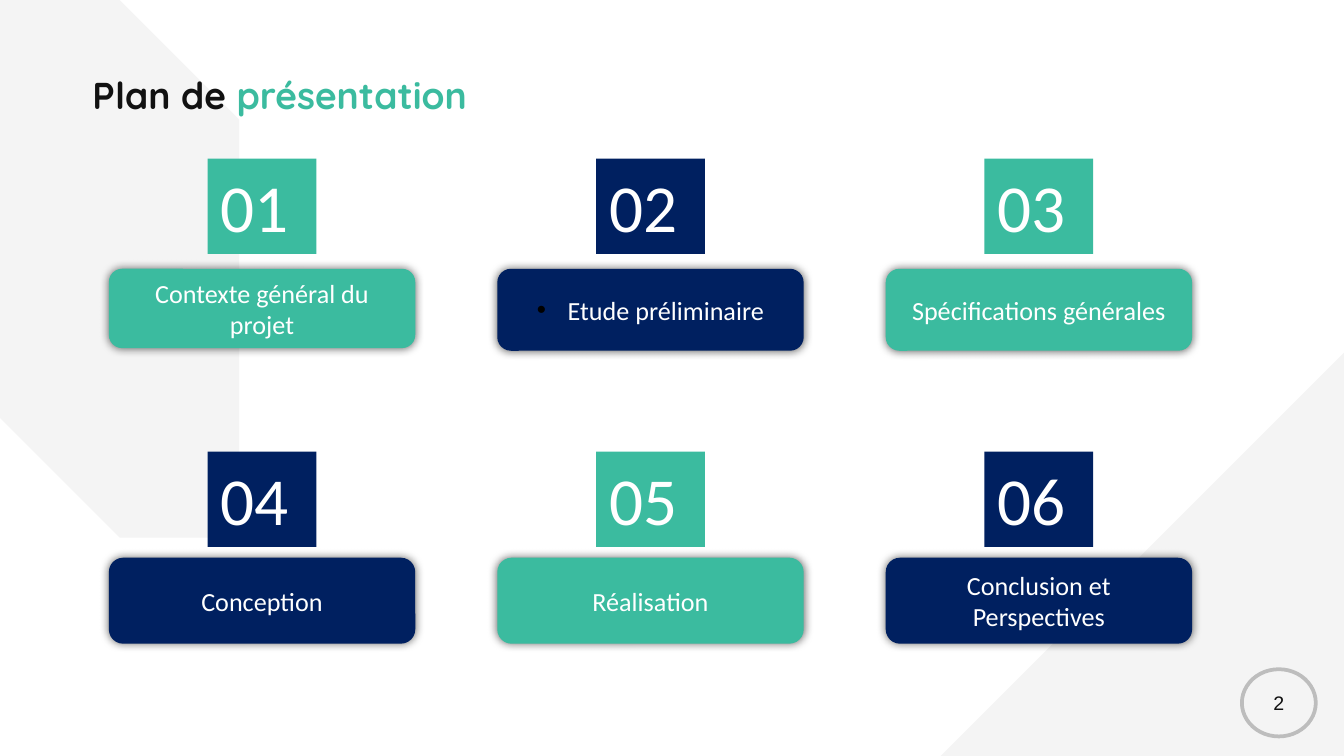
from dataclasses import dataclass

from lxml.etree import SubElement
from pptx import Presentation
from pptx.dml.color import RGBColor
from pptx.enum.shapes import MSO_SHAPE as Preset
from pptx.enum.text import MSO_ANCHOR as Anchor, PP_ALIGN as Align
from pptx.oxml.ns import qn
from pptx.shapes.autoshape import Shape
from pptx.slide import Slide
from pptx.util import Inches, Pt


@dataclass(frozen=True)
class Theme:
    teal: str = "3BBB9F"
    navy: str = "002060"
    ink: str = "111111"
    white: str = "FFFFFF"
    black: str = "000000"
    backdrop: str = "F4F4F4"
    ring: str = "BDBDBD"
    title_font: str = "Quicksand"
    body_font: str = "Calibri"
    page_font: str = "Arial"
    title_size: float = 20
    number_size: float = 36
    label_size: float = 14
    page_size: float = 10.5


@dataclass(frozen=True)
class Box:
    left: float
    top: float
    width: float
    height: float

    def lengths(self) -> list[Inches]:
        return [Inches(v) for v in (self.left, self.top, self.width, self.height)]


@dataclass(frozen=True)
class Row:
    badge_top: float
    label_top: float


@dataclass(frozen=True)
class Topic:
    label: str
    label_height: float
    bulleted: bool = False


THEME = Theme()
SLIDE_WIDTH = 10
SLIDE_HEIGHT = SLIDE_WIDTH * 9 / 16
COLUMNS = 3
COLUMN_LEFT, COLUMN_STEP = 0.81, 2.89
LABEL_WIDTH = 2.28
BADGE_WIDTH, BADGE_HEIGHT = 0.81, 0.71
ROWS = [Row(1.18, 2), Row(3.36, 4.15)]
TOPICS = [
    Topic("Contexte général du projet", 0.59),
    Topic("Etude préliminaire", 0.61, bulleted=True),
    Topic("Spécifications générales", 0.61),
    Topic("Conception", 0.64),
    Topic("Réalisation", 0.64),
    Topic("Conclusion et Perspectives", 0.64),
]


def rgb(color: str) -> RGBColor:
    return RGBColor.from_string(color)


def add_plain_shape(slide: Slide, preset: Preset, box: Box, fill: str | None) -> Shape:
    shape = slide.shapes.add_shape(preset, *box.lengths())
    shape.shadow.inherit = False
    shape.line.fill.background()
    if fill:
        shape.fill.solid()
        shape.fill.fore_color.rgb = rgb(fill)
    else:
        shape.fill.background()
    return shape


def write(shape: Shape, text: str, font: str, size: float, color: str,
          align: Align = Align.CENTER, anchor: Anchor = Anchor.MIDDLE) -> None:
    frame = shape.text_frame
    frame.word_wrap = True
    frame.vertical_anchor = anchor
    paragraph = frame.paragraphs[0]
    paragraph.text = text
    paragraph.alignment = align
    paragraph.font.name = font
    paragraph.font.size = Pt(size)
    paragraph.font.color.rgb = rgb(color)


def add_glow_shadow(shape: Shape) -> None:
    """Give the shape a soft shadow spread evenly around its edge."""
    effects = shape._element.spPr.find(qn("a:effectLst"))
    shadow = SubElement(effects, qn("a:outerShdw"), blurRad=str(Pt(5)),
                        dist="0", dir="0", algn="ctr", rotWithShape="0")
    color = SubElement(shadow, qn("a:srgbClr"), val=THEME.black)
    SubElement(color, qn("a:alpha"), val="60000")


def add_bullet(shape: Shape) -> None:
    properties = shape.text_frame.paragraphs[0]._p.get_or_add_pPr()
    indent = Inches(0.23)
    properties.set("marL", str(indent))
    properties.set("indent", str(-indent))
    color = SubElement(properties, qn("a:buClr"))
    SubElement(color, qn("a:srgbClr"), val=THEME.black)
    SubElement(properties, qn("a:buFont"), typeface=THEME.page_font)
    SubElement(properties, qn("a:buChar"), char="•")


def add_backdrop(slide: Slide) -> None:
    triangle = add_plain_shape(slide, Preset.RIGHT_TRIANGLE,
                               Box(7, SLIDE_HEIGHT - 3, 3, 3), THEME.backdrop)
    triangle._element.spPr.xfrm.set("flipH", "1")
    panel = add_plain_shape(slide, Preset.SNIP_2_DIAG_RECTANGLE,
                            Box(0, 0, 1.78, 4), THEME.backdrop)
    panel.adjustments[0] = 0
    panel.adjustments[1] = 0.5


def add_title(slide: Slide) -> None:
    title = slide.shapes.add_textbox(*Box(0.59, 0.49, 3.24, 0.77).lengths())
    title.text_frame.word_wrap = True
    paragraph = title.text_frame.paragraphs[0]
    paragraph.font.name = THEME.title_font
    paragraph.font.size = Pt(THEME.title_size)
    paragraph.font.bold = True
    for text, color in (("Plan de ", THEME.ink), ("présentation", THEME.teal)):
        run = paragraph.add_run()
        run.text = text
        run.font.color.rgb = rgb(color)


def add_topic(slide: Slide, index: int, topic: Topic) -> None:
    """Draw a numbered badge above its label, alternating the two colours."""
    row = ROWS[index // COLUMNS]
    left = COLUMN_LEFT + index % COLUMNS * COLUMN_STEP
    color = THEME.navy if index % 2 else THEME.teal

    badge_left = left + (LABEL_WIDTH - BADGE_WIDTH) / 2
    badge = add_plain_shape(slide, Preset.RECTANGLE,
                            Box(badge_left, row.badge_top, BADGE_WIDTH, BADGE_HEIGHT), color)
    write(badge, f"{index + 1:02}", THEME.body_font, THEME.number_size,
          THEME.white, Align.LEFT, Anchor.TOP)

    label = add_plain_shape(slide, Preset.ROUNDED_RECTANGLE,
                            Box(left, row.label_top, LABEL_WIDTH, topic.label_height), color)
    add_glow_shadow(label)
    if topic.bulleted:
        add_bullet(label)
    write(label, topic.label, THEME.body_font, THEME.label_size, THEME.white)


def add_page_number(slide: Slide) -> None:
    circle = add_plain_shape(slide, Preset.OVAL, Box(9.24, 4.98, 0.55, 0.5), None)
    circle.line.color.rgb = rgb(THEME.ring)
    circle.line.width = Pt(2)
    write(circle, "2", THEME.page_font, THEME.page_size, THEME.ink)


def main() -> None:
    presentation = Presentation()
    presentation.slide_width = Inches(SLIDE_WIDTH)
    presentation.slide_height = Inches(SLIDE_HEIGHT)
    slide = presentation.slides.add_slide(presentation.slide_layouts[6])
    add_backdrop(slide)
    add_title(slide)
    for index, topic in enumerate(TOPICS):
        add_topic(slide, index, topic)
    add_page_number(slide)
    presentation.save("out.pptx")


if __name__ == "__main__":
    main()
